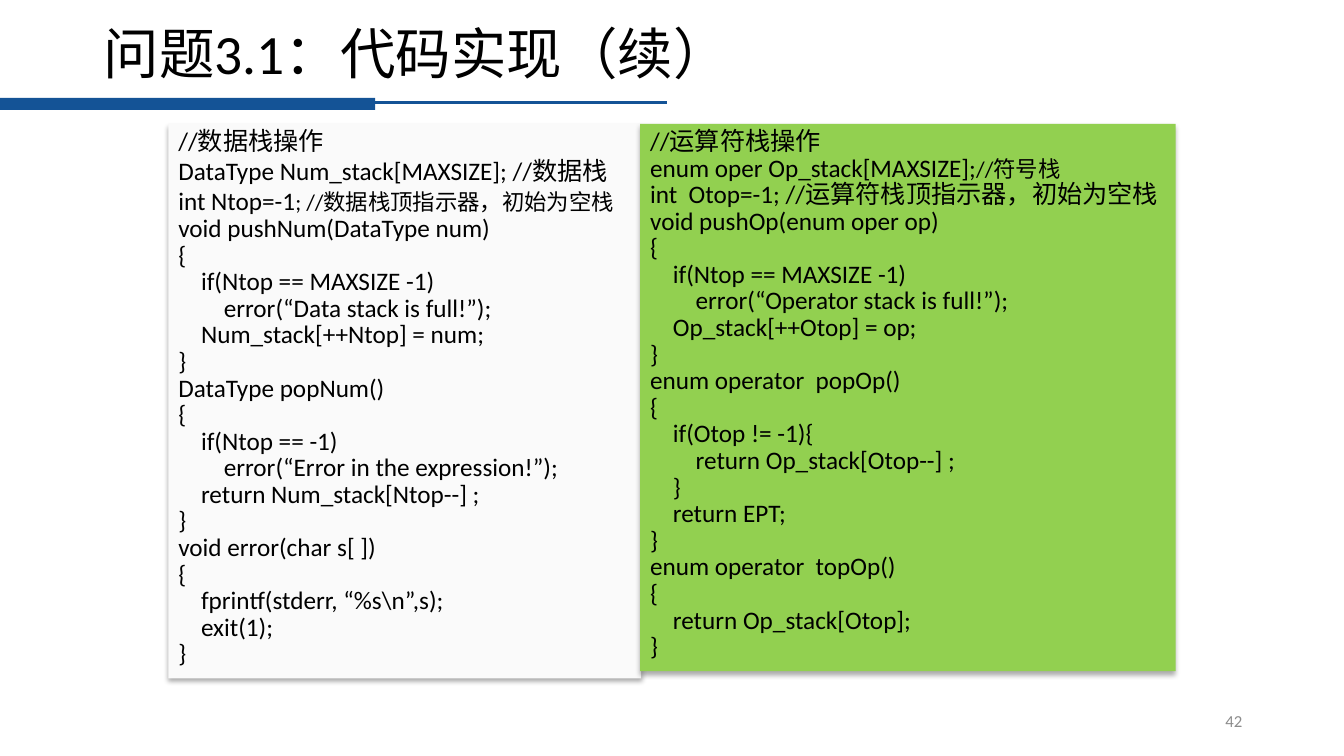
from lxml import etree
from pptx import Presentation
from pptx.dml.color import RGBColor
from pptx.enum.shapes import MSO_CONNECTOR, MSO_SHAPE
from pptx.enum.text import MSO_ANCHOR, MSO_AUTO_SIZE, PP_ALIGN
from pptx.oxml.ns import qn
from pptx.util import Inches, Pt

RECTANGLE, STRAIGHT = MSO_SHAPE.RECTANGLE, MSO_CONNECTOR.STRAIGHT
TOP, MIDDLE = MSO_ANCHOR.TOP, MSO_ANCHOR.MIDDLE
LEFT, RIGHT = PP_ALIGN.LEFT, PP_ALIGN.RIGHT
NO_FIT, GROW = MSO_AUTO_SIZE.NONE, MSO_AUTO_SIZE.SHAPE_TO_FIT_TEXT
COLORS = {"rule": "145396", "text": "000000", "number": "8C8C8C",
          "data": "FAFAFA", "operator": "92D050", "shadow": "000000"}
FONT = "Calibri"
CODE_SIZE, REMARK_SIZE, CODE_LEADING = 18, 16, 19

DATA_CODE = r"""//数据栈操作
DataType Num_stack[MAXSIZE]; //数据栈
int Ntop=-1; //数据栈顶指示器，初始为空栈
void pushNum(DataType num)
{
    if(Ntop == MAXSIZE -1)
        error(“Data stack is full!”);
    Num_stack[++Ntop] = num;
}
DataType popNum()
{
    if(Ntop == -1)
        error(“Error in the expression!”);
    return Num_stack[Ntop--] ;
}
void error(char s[ ])
{
    fprintf(stderr, “%s\n”,s);
    exit(1);
}"""
OPERATOR_CODE = """//运算符栈操作
enum oper Op_stack[MAXSIZE];//符号栈
int  Otop=-1; //运算符栈顶指示器，初始为空栈
void pushOp(enum oper op)
{
    if(Ntop == MAXSIZE -1)
        error(“Operator stack is full!”);
    Op_stack[++Otop] = op;
}
enum operator  popOp()
{
    if(Otop != -1){
        return Op_stack[Otop--] ;
    }
    return EPT;
}
enum operator  topOp()
{
    return Op_stack[Otop];
}"""


def color(name):
    """Return the named colour."""
    return RGBColor.from_string(COLORS[name])


def apply(target, **values):
    """Set each format value on the target."""
    for name, value in values.items():
        setattr(target, name, value)


def add_span(para, text, size, ink="text"):
    """Append a formatted run to a paragraph."""
    span = para.add_run()
    span.text = text
    apply(span.font, name=FONT, size=Pt(size))
    span.font.color.rgb = color(ink)


def add_block(page, box, fill):
    """Add a plain filled rectangle in the given box."""
    shape = page.shapes.add_shape(RECTANGLE, *map(Inches, box))
    shape.fill.solid()
    shape.fill.fore_color.rgb = color(fill)
    shape.line.fill.background()
    shape.shadow.inherit = False
    return shape


def add_shadow(shape):
    """Give a shape a soft shadow below it."""
    effects = shape._element.spPr.find(qn("a:effectLst"))
    outer = etree.SubElement(effects, qn("a:outerShdw"), blurRad=str(Pt(3.5)),
                             dist=str(Pt(2.2)), dir="5400000", rotWithShape="0")
    ink = etree.SubElement(outer, qn("a:srgbClr"), val=COLORS["shadow"])
    etree.SubElement(ink, qn("a:alpha"), val="32000")


def add_header(page, box, title):
    """Place the title and the two-part rule below it."""
    left, top, width, height = box
    holder = page.shapes.title
    apply(holder, left=Inches(left), top=Inches(top),
          width=Inches(width), height=Inches(height))
    apply(holder.text_frame, vertical_anchor=MIDDLE, word_wrap=True, auto_size=NO_FIT)
    para = holder.text_frame.paragraphs[0]
    apply(para, alignment=LEFT, line_spacing=0.9)
    add_span(para, title, 39.6)
    rule_top = top + height + 0.03
    add_block(page, (0, rule_top, 3.72, 0.12), "rule")
    level = Inches(rule_top + 0.05)
    line = page.shapes.add_connector(STRAIGHT, Inches(3.68), level, Inches(6.62), level)
    line.line.color.rgb = color("rule")
    line.line.width = Pt(2.25)
    etree.SubElement(line._element.spPr, qn("a:effectLst"))


def add_code(page, box, fill, code, remark, loose=()):
    """Fill a shadowed panel with code, its remark smaller and loose lines unsqueezed."""
    panel = add_block(page, box, fill)
    add_shadow(panel)
    frame = panel.text_frame
    apply(frame, word_wrap=True, vertical_anchor=TOP, auto_size=GROW)
    for index, line in enumerate(code.split("\n")):
        para = frame.add_paragraph() if index else frame.paragraphs[0]
        para.alignment = LEFT
        if index not in loose:
            para.line_spacing = Pt(CODE_LEADING)
        before, found, _ = line.partition(remark)
        add_span(para, before, CODE_SIZE)
        if found:
            add_span(para, found, REMARK_SIZE)


def add_page_number(page, box, number):
    """Place the page number at the right of its box."""
    frame = page.shapes.add_textbox(*map(Inches, box)).text_frame
    apply(frame, word_wrap=True, vertical_anchor=MIDDLE)
    para = frame.paragraphs[0]
    para.alignment = RIGHT
    add_span(para, number, 12, "number")


def main():
    """Build and save the slide."""
    deck = Presentation()
    apply(deck, slide_width=Inches(13.33), slide_height=Inches(7.5))
    page = deck.slides.add_slide(deck.slide_layouts.get_by_name("Title Only"))
    add_header(page, (0.93, 0.18, 11.5, 0.76), "问题3.1：代码实现（续）")
    add_page_number(page, (9.42, 6.95, 3, 0.4), "42")
    add_code(page, (1.67, 1.23, 4.69, 5.5), "data", DATA_CODE,
             "; //数据栈顶指示器，初始为空栈", loose=(1, 2))
    add_code(page, (6.35, 1.23, 5.31, 5.43), "operator", OPERATOR_CODE, "//符号栈")
    deck.save("out.pptx")


if __name__ == "__main__":
    main()
